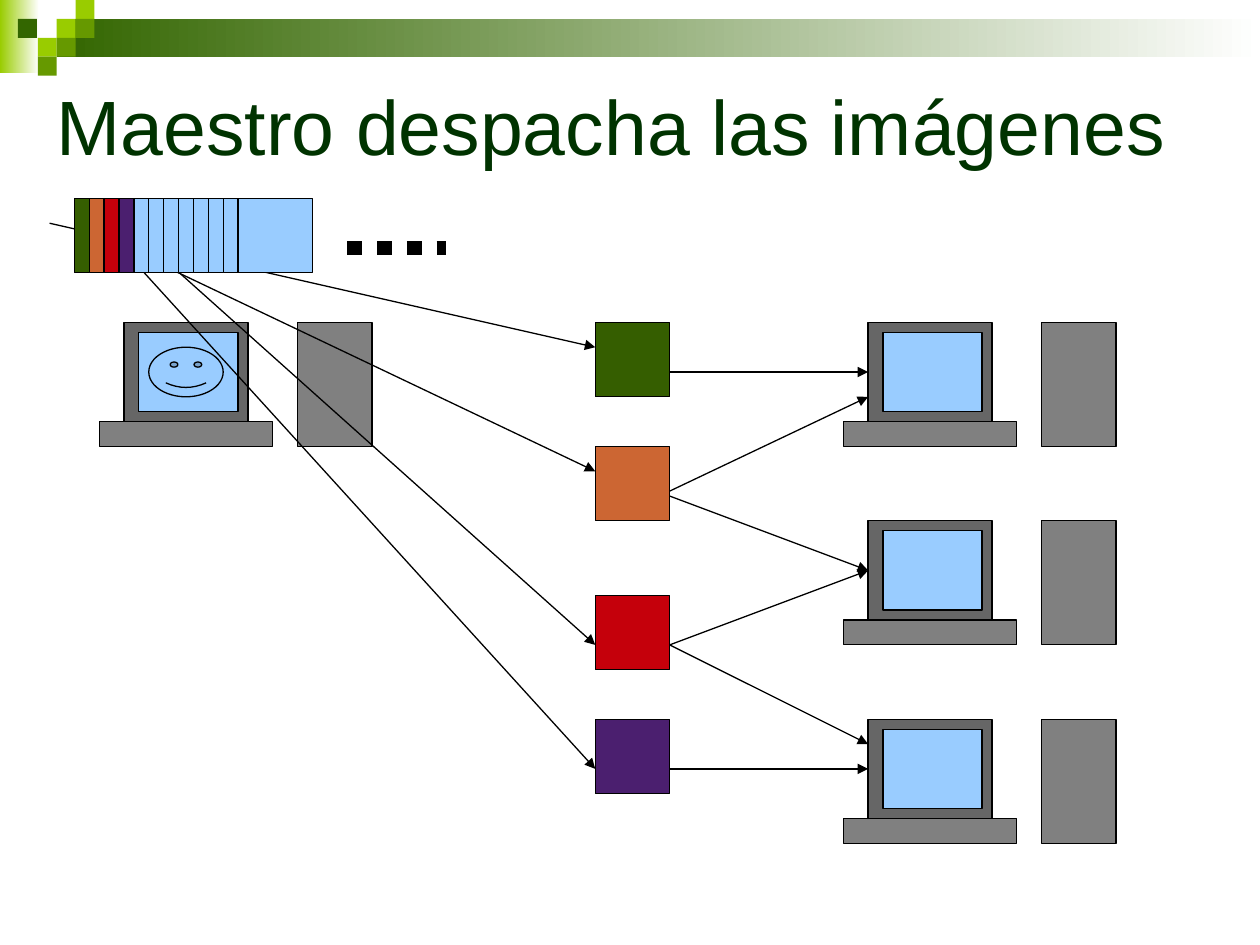
import lxml.etree
import pptx
import pptx.dml.color
import pptx.enum.dml
import pptx.enum.shapes
import pptx.enum.text
import pptx.oxml.ns
import pptx.util

COLORS = {
    "title": "003300", "black": "000000", "white": "FFFFFF",
    "lime": "99CC00", "leaf": "669900", "forest": "336600",
    "case": "666666", "gray": "808080", "sky": "99CCFF",
    "green": "355E00", "orange": "CC6633", "red": "C5000B", "purple": "4B1F6F",
}
CELL = pptx.util.Cm(0.5)  # the diagram sits on a half-centimetre grid
PIXEL = pptx.util.Inches(0.15)  # the corner mosaic has its own grid
SHAPES = pptx.enum.shapes.MSO_SHAPE

presentation = pptx.Presentation()
presentation.slide_width = pptx.util.Inches(10)
presentation.slide_height = pptx.util.Inches(7.5)
slide = presentation.slides.add_slide(presentation.slide_layouts[5])


def add_block(left, top, width, height, fill, kind=SHAPES.RECTANGLE, unit=CELL, outlined=True):
    """Add a preset shape measured in units; a pair of colours makes a gradient."""
    box = [round(value * unit) for value in (left, top, width, height)]
    shape = slide.shapes.add_shape(kind, *box)
    shape.shadow.inherit = False
    if isinstance(fill, tuple):
        shape.fill.gradient()
        shape.fill.gradient_angle = 0
        for stop, name in zip(shape.fill.gradient_stops, fill):
            stop.color.rgb = pptx.dml.color.RGBColor.from_string(COLORS[name])
    else:
        shape.fill.solid()
        shape.fill.fore_color.rgb = pptx.dml.color.RGBColor.from_string(COLORS[fill])
    if outlined:
        shape.line.color.rgb = pptx.dml.color.RGBColor.from_string(COLORS["black"])
        shape.line.width = pptx.util.Pt(0.75)
    else:
        shape.line.fill.background()


def add_line(start, end, width=0.75, arrow=True):
    points = [round(value * CELL) for value in (*start, *end)]
    connector = slide.shapes.add_connector(pptx.enum.shapes.MSO_CONNECTOR.STRAIGHT, *points)
    connector.line.color.rgb = pptx.dml.color.RGBColor.from_string(COLORS["black"])
    connector.line.width = pptx.util.Pt(width)
    if arrow:
        line = connector.line._get_or_add_ln()
        lxml.etree.SubElement(line, pptx.oxml.ns.qn("a:tailEnd"), type="triangle")
    else:
        connector.line.dash_style = pptx.enum.dml.MSO_LINE.ROUND_DOT
    properties = connector._element.spPr
    lxml.etree.SubElement(properties, pptx.oxml.ns.qn("a:effectLst"))


# Title
title = slide.shapes.title
title.left, title.top = pptx.util.Inches(0.35), pptx.util.Inches(0.24)
title.width, title.height = pptx.util.Inches(9.65), pptx.util.Inches(1.5)
title.text_frame.vertical_anchor = pptx.enum.text.MSO_ANCHOR.MIDDLE
paragraph = title.text_frame.paragraphs[0]
paragraph.alignment = pptx.enum.text.PP_ALIGN.LEFT
run = paragraph.add_run()
run.text = "Maestro despacha las imágenes"
run.font.name = "Arial"
run.font.size = pptx.util.Pt(44)
run.font.color.rgb = pptx.dml.color.RGBColor.from_string(COLORS["title"])

# Corner mosaic and gradient bar
add_block(0, 0, 2.07, 3.87, ("lime", "white"), unit=PIXEL, outlined=False)
add_block(3, 1, 63.67, 2, ("forest", "white"), unit=PIXEL, outlined=False)
for column, row, color in [(3, 1, "lime"), (4, 0, "lime"), (4, 1, "leaf"), (2, 2, "lime"),
                           (0.95, 1, "forest"), (3, 2, "leaf"), (2, 3, "leaf")]:
    add_block(column, row, 1, 1, color, unit=PIXEL, outlined=False)

# Master at the left, three workers at the right
for left, top in [(5, 13), (35, 13), (35, 21), (35, 29)]:
    add_block(left, top, 5, 4, "case")
    add_block(left + 7, top, 3, 5, "gray")
    add_block(left + 0.6, top + 0.4, 4, 3.2, "sky")
    add_block(left - 1, top + 4, 7, 1, "gray")
add_block(6, 14, 3, 2, "sky", SHAPES.SMILEY_FACE)

# Dispatched images
image_colors = ["green", "orange", "red", "purple"]
for top, color in zip([13, 18, 24, 29], image_colors):
    add_block(24, top, 3, 3, color)

add_line((14, 10), (18, 10), width=8.5, arrow=False)

# Queue to images, then images to workers
for start_column, end_row in [(2, 14), (3, 19), (5, 26), (4, 31)]:
    add_line((start_column, 9), (24, end_row))
for start_row, end_row in [(15, 15), (19.8, 16), (20, 23), (26, 23), (26, 30), (31, 31)]:
    add_line((27, start_row), (35, end_row))

# Queue of overlapping images
for index, color in enumerate(image_colors + ["sky"] * 8):
    add_block(3 + 0.6 * index, 8, 3, 3, color)

presentation.save("out.pptx")
